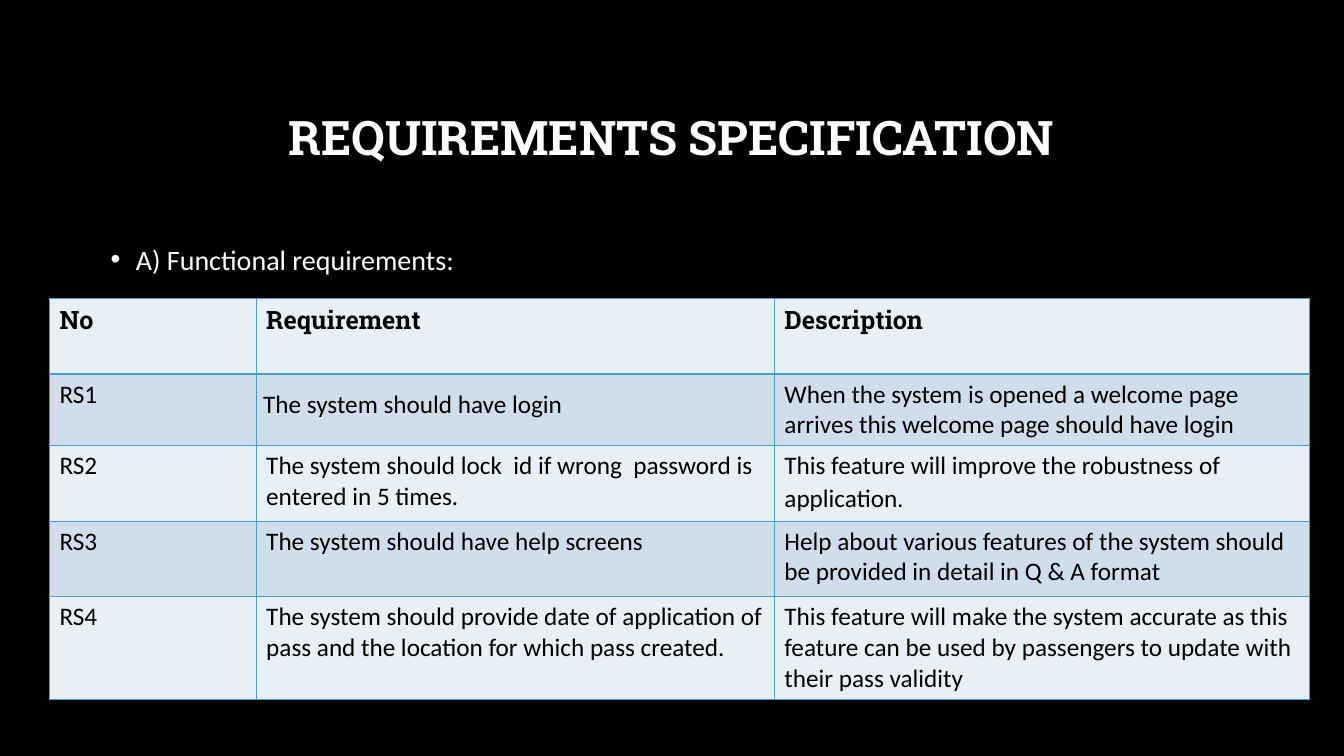
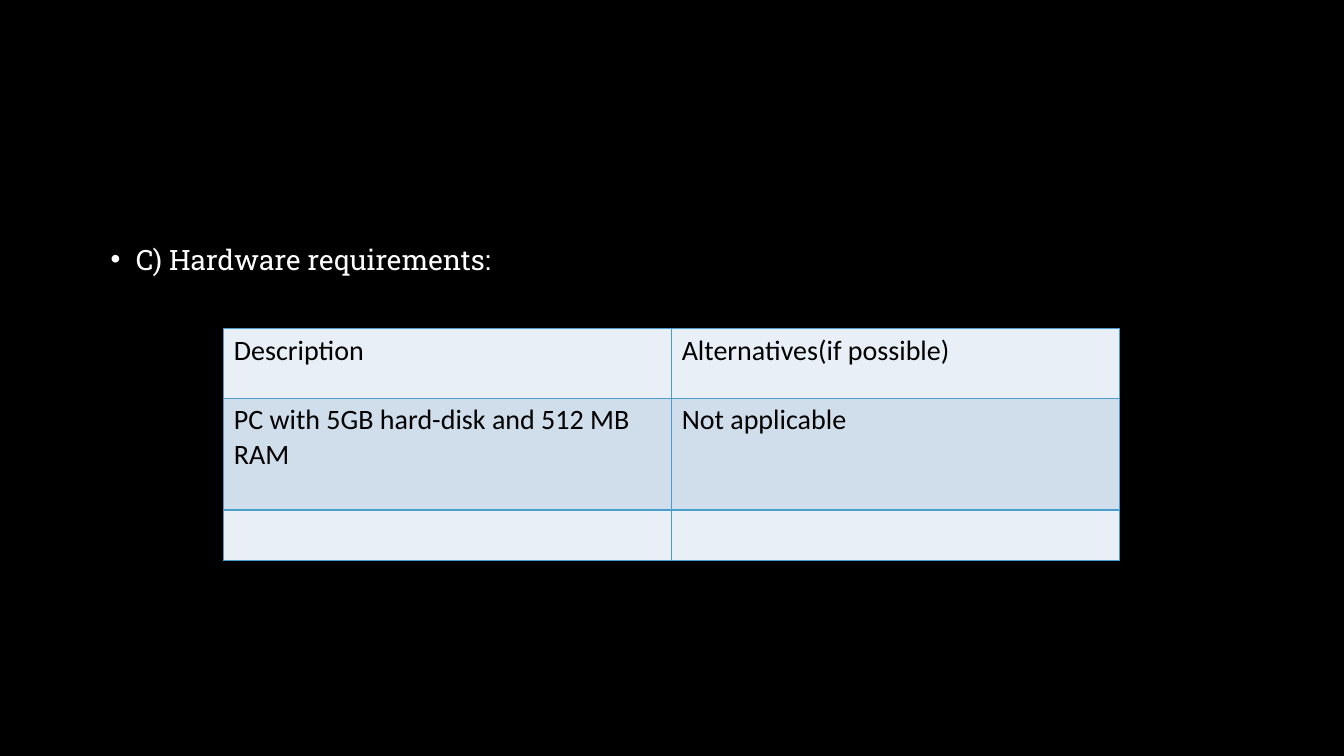
from lxml.etree import SubElement as Sub
from pptx import Presentation
from pptx.dml.color import RGBColor as RGB
from pptx.enum.text import MSO_ANCHOR as Anchor, PP_ALIGN as Align
from pptx.oxml.ns import qn
from pptx.util import Inches, Pt

# Shared look
BACK, LIGHT, DARK = "000000", "FFFFFF", "000000"
BANDS = ("E9EFF6", "D0DEEC")
EDGE = "4A9CCC"
SANS, SLAB = "Calibri", "Roboto Slab"

# Places are percentages of the slide's width and height
WIDE, HIGH = Inches(13.33), Inches(7.5)
TITLE = (7.5, 8.93, 84.9, 19.33)
BODY = (7.5, 30.53, 84.9, 53.87)


def across(share):
    return round(WIDE * share / 100)


def down(share):
    return round(HIGH * share / 100)


def place(left, top, width, height):
    return across(left), down(top), across(width), down(height)


def tint(code):
    return RGB.from_string(code)


def write(frame, text, font=SANS, size=18, color=DARK, bold=False,
          align=Align.LEFT, line=None, before=None, bullet=None):
    """Fill a frame with one paragraph; text is a string or (string, font) runs."""
    para = frame.paragraphs[0]
    para.alignment = align
    if line:
        para.line_spacing = line
    if before:
        para.space_before = Pt(before)
    if bullet:
        props = para._p.get_or_add_pPr()
        props.set("marL", str(Inches(0.25)))
        props.set("indent", str(-Inches(0.25)))
        Sub(props, qn("a:buFont"), typeface="Arial")
        Sub(props, qn("a:buChar"), char=bullet)
    runs = [(text, font)] if isinstance(text, str) else text
    for words, face in runs:
        run = para.add_run()
        run.text = words
        run.font.name, run.font.size, run.font.bold = face, Pt(size), bold
        run.font.color.rgb = tint(color)


def label(slide, box, text, anchor=Anchor.TOP, **style):
    frame = slide.shapes.add_textbox(*place(*box)).text_frame
    frame.word_wrap = True
    frame.vertical_anchor = anchor
    write(frame, text, color=LIGHT, **style)


def title(slide, text):
    label(slide, TITLE, text, Anchor.MIDDLE, font=SLAB, size=34, bold=True,
          align=Align.CENTER, line=0.9)


def point(slide, text, font):
    label(slide, BODY, text, font=font, size=20, line=1.2, before=10, bullet="•")


def border(cell):
    props = cell._tc.get_or_add_tcPr()
    for side in ("lnL", "lnR", "lnT", "lnB"):
        edge = Sub(props, qn("a:" + side), w=str(Pt(1)))
        Sub(Sub(edge, qn("a:solidFill")), qn("a:srgbClr"), val=EDGE)


def grid(slide, left, top, cols, rows, data, size, head):
    """Draw a banded table; head holds the format of the first row."""
    box = place(left, top, sum(cols), sum(rows))
    table = slide.shapes.add_table(len(rows), len(cols), *box).table
    table.first_row = table.horz_banding = False
    for col, share in zip(table.columns, cols):
        col.width = across(share)
    for r, (row, share) in enumerate(zip(table.rows, rows)):
        row.height = down(share)
        for cell, text in zip(row.cells, data[r]):
            border(cell)
            cell.fill.solid()
            cell.fill.fore_color.rgb = tint(BANDS[r % 2])
            style = dict(head) if r == 0 else {}
            if isinstance(text, dict):
                # A cell with its own paragraph format
                style.update(text)
                text = style.pop("text")
                cell.margin_left = cell.margin_right = Inches(0.07)
                cell.margin_top = cell.margin_bottom = 0
            if text:
                write(cell.text_frame, text, size=size, **style)


def page(deck):
    slide = deck.slides.add_slide(deck.slide_layouts[6])
    slide.background.fill.solid()
    slide.background.fill.fore_color.rgb = tint(BACK)
    return slide


# Table contents
NEEDS = [
    ("No", "Requirement", "Description"),
    ("RS1",
     dict(text="The system should have login", align=Align.JUSTIFY,
          line=1.5, before=4.5),
     "When the system is opened a welcome page arrives this welcome page "
     "should have login"),
    ("RS2",
     "The system should lock  id if wrong  password is entered in 5 times.",
     [("This feature will improve the robustness of application", SANS),
      (".", SLAB)]),
    ("RS3",
     "The system should have help screens",
     "Help about various features of the system should be provided in detail "
     "in Q & A format"),
    ("RS4",
     "The system should provide date of application of pass and the location "
     "for which pass created.",
     "This feature will make the system accurate as this feature can be used "
     "by passengers to update with their pass validity"),
]
PARTS = [
    ("Description", "Alternatives(if possible)"),
    ("PC with 5GB hard-disk and 512 MB RAM", "Not applicable"),
    ("", ""),
]


def main():
    deck = Presentation()
    deck.slide_width, deck.slide_height = WIDE, HIGH

    # Functional requirements
    slide = page(deck)
    title(slide, "REQUIREMENTS SPECIFICATION")
    point(slide, "A) Functional requirements:", SANS)
    grid(slide, 3.68, 39.47, (15.38, 38.56, 39.84), (10, 9.47, 10, 10, 13.6),
         NEEDS, 18, dict(font=SLAB, bold=True))

    # Hardware requirements
    slide = page(deck)
    point(slide, "C) Hardware requirements:", SLAB)
    grid(slide, 16.65, 43.47, (33.33, 33.33), (9.2, 14.8, 6.67), PARTS, 20, {})

    deck.save("out.pptx")


if __name__ == "__main__":
    main()
